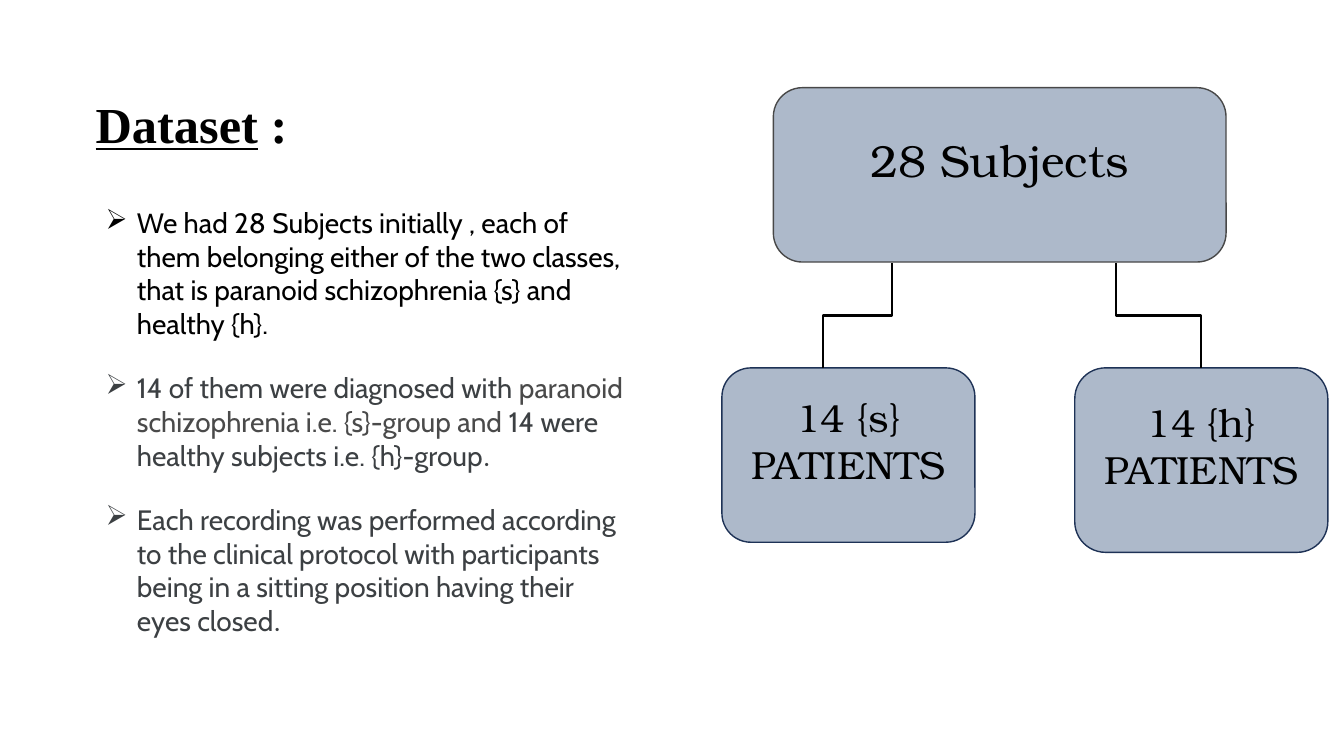
from lxml import etree
from pptx import Presentation
from pptx import util as u
from pptx.dml.color import RGBColor
from pptx.enum import shapes, text
from pptx.oxml.ns import qn

BLACK = RGBColor(0x00, 0x00, 0x00)
CHARCOAL = RGBColor(0x3C, 0x40, 0x43)
GREY = RGBColor(0x4A, 0x4A, 0x4A)
STEEL = RGBColor(0xAD, 0xB9, 0xCA)
SLATE = RGBColor(0x48, 0x48, 0x48)
NAVY = RGBColor(0x1E, 0x32, 0x56)


class DatasetSlide:
    """Holds the style and the current page, and draws each kind of element."""

    TITLE_FONT = "Times New Roman"
    BODY_FONT = "Cabin"
    STOP_FONT = "Inter"
    NODE_FONT = "TeX Gyre Bonum"

    def __init__(self, deck):
        self.page = deck.slides.add_slide(deck.slide_layouts[6])

    def style(self, span, font, size, color):
        span.font.name = font
        span.font.size = u.Pt(size)
        span.font.color.rgb = color

    def add_span(self, para, words, font, size, color):
        span = para.add_run()
        span.text = words
        self.style(span, font, size, color)
        return span

    def text_box(self, left, top, width, height):
        box = self.page.shapes.add_textbox(*map(u.Inches, (left, top, width, height)))
        box.text_frame.word_wrap = True
        return box.text_frame

    def title(self, word, tail, *place):
        frame = self.text_box(*place)
        frame.vertical_anchor = text.MSO_ANCHOR.MIDDLE
        para = frame.paragraphs[0]
        para.line_spacing = 0.9
        for words, underline in ((word, True), (tail, False)):
            span = self.add_span(para, words, self.TITLE_FONT, 36, BLACK)
            span.font.bold = True
            span.font.underline = underline

    def bullets(self, items, *place):
        frame = self.text_box(*place)
        for index, (parts, small_stop) in enumerate(items):
            para = frame.add_paragraph() if index else frame.paragraphs[0]
            properties = para._p.get_or_add_pPr()
            properties.set("marL", str(u.Inches(0.31)))
            properties.set("indent", str(-u.Inches(0.31)))
            etree.SubElement(properties, qn("a:buChar")).set("char", "➢")
            if index:
                para.space_before = u.Pt(22)
            for words, color in parts:
                self.add_span(para, words, self.BODY_FONT, 20, color)
            if small_stop:
                self.add_span(para, ".", self.STOP_FONT, 18, CHARCOAL)

    def node(self, words, size, outline, *place):
        box = self.page.shapes.add_shape(
            shapes.MSO_SHAPE.ROUNDED_RECTANGLE, *map(u.Inches, place))
        box.shadow.inherit = False
        box.fill.solid()
        box.fill.fore_color.rgb = STEEL
        box.line.color.rgb = outline
        box.line.width = u.Pt(1)
        frame = box.text_frame
        frame.word_wrap = True
        frame.vertical_anchor = text.MSO_ANCHOR.MIDDLE
        frame.margin_bottom = u.Inches(0.35)
        frame.text = words
        for para in frame.paragraphs:
            para.alignment = text.PP_ALIGN.CENTER
            for span in para.runs:
                self.style(span, self.NODE_FONT, size, BLACK)

    def branch(self, start_x, start_y, end_x, end_y):
        """Draw an elbow that leaves downwards, as a quarter-turned connector."""
        middle_x, middle_y = (start_x + end_x) / 2, (start_y + end_y) / 2
        half_run, half_drop = abs(end_x - start_x) / 2, (end_y - start_y) / 2
        turn, side = (90, 1) if end_x < start_x else (270, -1)
        line = self.page.shapes.add_connector(
            shapes.MSO_CONNECTOR.ELBOW,
            u.Inches(middle_x - side * half_drop), u.Inches(middle_y - half_run),
            u.Inches(middle_x + side * half_drop), u.Inches(middle_y + half_run))
        line.line.color.rgb = BLACK
        line.line.width = u.Pt(1.5)
        properties = line._element.spPr
        properties.find(qn("a:xfrm")).set("rot", str(turn * 60000))
        etree.SubElement(properties, qn("a:effectLst"))


def main():
    deck = Presentation()
    deck.slide_width, deck.slide_height = u.Inches(13.33), u.Inches(7.5)
    slide = DatasetSlide(deck)
    slide.title("Dataset", " :", 0.85, -0.08, 3.6, 2.68)
    slide.bullets([
        ([("We had 28 Subjects initially , each of them belonging either of the two "
           "classes, that is paranoid schizophrenia {s} and healthy {h}.", BLACK)], False),
        ([("14 of them were diagnosed with ", CHARCOAL),
          ("paranoid schizophrenia i.e. {s}-group and ", GREY),
          ("14 were healthy subjects i.e. {h}-group", CHARCOAL)], True),
        ([("Each recording was performed according to the clinical protocol with "
           "participants being in a sitting position having their eyes closed",
           CHARCOAL)], True),
    ], 0.95, 1.99, 5.44, 4.38)
    slide.node("28 Subjects", 32, SLATE, 7.67, 0.87, 4.49, 1.73)
    slide.node("14 {s} PATIENTS", 28, NAVY, 7.16, 3.65, 2.51, 1.73)
    slide.node("14 {h}\nPATIENTS", 28, NAVY, 10.66, 3.65, 2.51, 1.83)
    slide.branch(8.85, 2.61, 8.16, 3.65)
    slide.branch(11.07, 2.61, 11.91, 3.65)
    deck.save("out.pptx")


if __name__ == "__main__":
    main()
